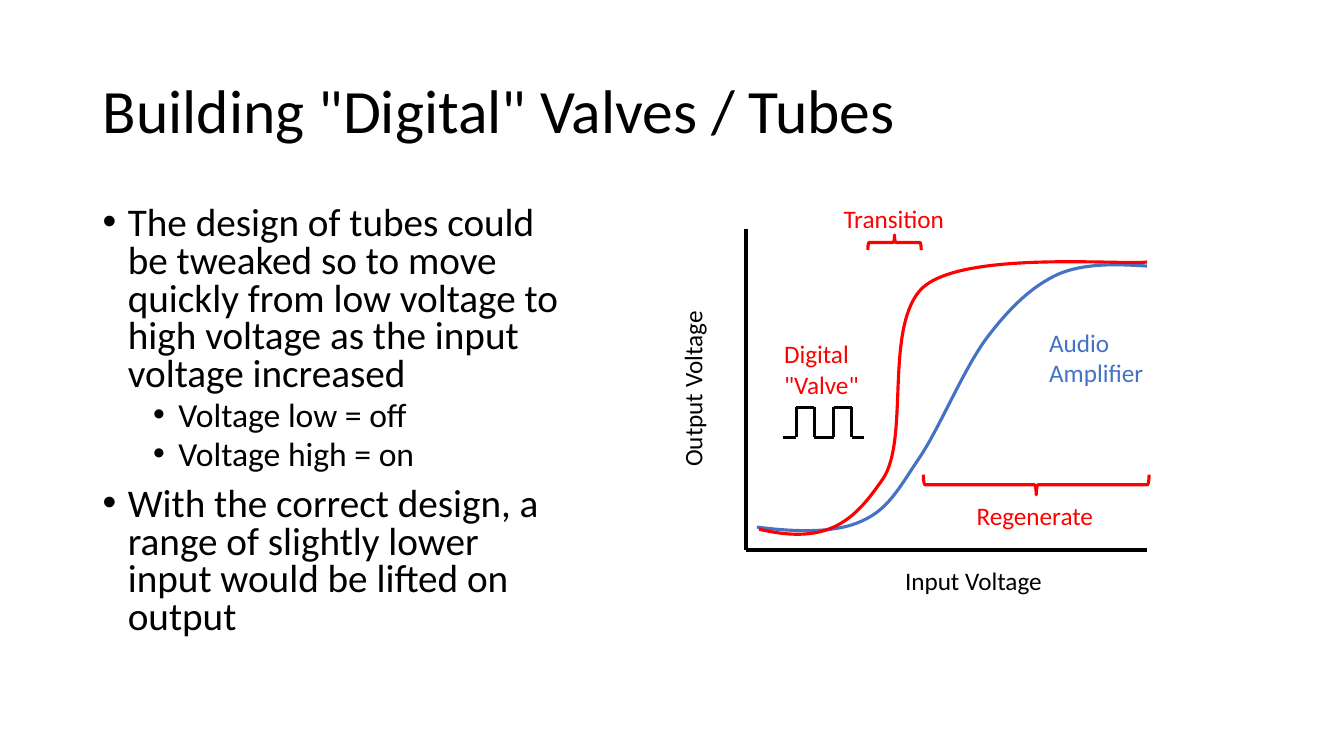
from lxml import etree
from pptx import Presentation, util as u
from pptx.dml.color import RGBColor
from pptx.enum import shapes, text
from pptx.oxml.ns import qn

# Content: lengths in px, 100 px to the inch
PX = 9144
SLIDE_HEIGHT = 750  # 16:9
FONT = "Calibri"
COLORS = {"black": "000000", "red": "FF0000", "blue": "4472C4"}

TITLE = 'Building "Digital" Valves / Tubes'
TITLE_BOX = (92, 40, 1150, 145)
BODY_BOX = (92, 200, 472, 451)
BULLETS = [  # level, text
    (0, "The design of tubes could be tweaked so to move quickly from low "
        "voltage to high voltage as the input voltage increased"),
    (1, "Voltage low = off"),
    (1, "Voltage high = on"),
    (0, "With the correct design, a range of slightly lower input would be "
        "lifted on output"),
]
LEVELS = [  # size, space before, left margin
    (28, 10, 25),
    (24, 5, 75),
]
HANGING = 25

LABELS = [  # lines, color, box, rotation
    (["Transition"], "red", (827, 197, 121, 40), 0),
    (["Audio", "Amplifier"], "blue", (1031, 320, 115, 71), 0),
    (["Digital", '"Valve"'], "red", (768, 331, 95, 71), 0),
    (["Input Voltage"], "black", (888, 556, 158, 40), 0),
    (["Output Voltage"], "black", (599, 365, 176, 40), 270),
    (["Regenerate"], "red", (959, 491, 137, 40), 0),
]
BRACES = [  # box before rotation, rotation
    ((880, 214, 15, 53), 270),
    ((1018, 369, 20, 224), 90),
]
AXES = [(740, 227), (740, 546), (1138, 546)]
PULSE_X = [777, 790, 808, 827, 845, 857]
PULSE_LOW, PULSE_HIGH = 434, 404
CURVES = [  # color, box, start, then two controls and an end per segment
    ("blue", (751, 263, 387, 263),
     [(751, 523),
      (790, 528), (829, 529), (855, 517),
      (882, 505), (892, 484), (913, 453),
      (933, 423), (957, 364), (980, 334),
      (1003, 304), (1024, 284), (1050, 272),
      (1076, 261), (1107, 262), (1138, 264)]),
    ("red", (753, 260, 385, 270),
     [(753, 525),
      (824, 542), (849, 514), (876, 475),
      (902, 436), (878, 330), (912, 289),
      (946, 248), (1108, 263), (1138, 260)]),
]


def emu(values):
    return [v * PX for v in values]


def place(sp, box):
    sp.left, sp.top, sp.width, sp.height = emu(box)


def color(name):
    return RGBColor.from_string(COLORS[name])


def write(p, words, size=18, fill="black", spacing=None, before=None):
    if spacing:
        p.line_spacing = spacing
    if before is not None:
        p.space_before = u.Pt(before)
    r = p.add_run()
    r.text = words
    r.font.name, r.font.size = FONT, u.Pt(size)
    r.font.color.rgb = color(fill)


def add_bullet(p, margin):
    props = p._p.get_or_add_pPr()
    props.set("marL", str(margin * PX))
    props.set("indent", str(-HANGING * PX))
    etree.SubElement(props, qn("a:buFont")).set("typeface", "Arial")
    etree.SubElement(props, qn("a:buChar")).set("char", "•")


def paragraph(tf, i):
    return tf.add_paragraph() if i else tf.paragraphs[0]


def outline(sp, name, width=2.25):
    sp.line.color.rgb = color(name)
    sp.line.width = u.Pt(width)


def outline_only(sp, name):
    sp.fill.background()
    sp.shadow.inherit = False
    outline(sp, name)


def draw_lines(parent, points, width):
    for start, end in zip(points, points[1:]):
        line = parent.add_connector(shapes.MSO_CONNECTOR.STRAIGHT,
                                    *emu(start + end))
        outline(line, "black", width)
        etree.SubElement(line._element.spPr, qn("a:effectLst"))


def draw_curve(parent, name, box, points):
    builder = parent.build_freeform(*emu(points[0]), scale=1.0)
    builder.add_line_segments([emu(q) for q in points[1:]], close=False)
    curve = builder.convert_to_shape()
    place(curve, box)

    # Measure the points from the box, then join each three into one Bézier
    track = next(curve._element.iter(qn("a:path")))
    track.set("w", str(box[2] * PX))
    track.set("h", str(box[3] * PX))
    for pt, (x, y) in zip(track.iter(qn("a:pt")), points):
        pt.set("x", str((x - box[0]) * PX))
        pt.set("y", str((y - box[1]) * PX))
    steps = track.findall(qn("a:lnTo"))
    for k in range(0, len(steps), 3):
        segment = etree.SubElement(track, qn("a:cubicBezTo"))
        for step in steps[k:k + 3]:
            segment.append(step[0])
            track.remove(step)
    outline_only(curve, name)


def main():
    prs = Presentation()
    prs.slide_height = SLIDE_HEIGHT * PX
    prs.slide_width = prs.slide_height * 16 // 9
    s = prs.slides.add_slide(prs.slide_layouts[5])

    # Title
    title = s.shapes.title
    place(title, TITLE_BOX)
    tf = title.text_frame
    tf.vertical_anchor = text.MSO_ANCHOR.MIDDLE
    tf.auto_size = text.MSO_AUTO_SIZE.NONE
    tf.paragraphs[0].alignment = text.PP_ALIGN.LEFT
    write(tf.paragraphs[0], TITLE, size=44, spacing=0.9)

    # Bullets
    tf = s.shapes.add_textbox(*emu(BODY_BOX)).text_frame
    tf.word_wrap = True
    for i, (level, words) in enumerate(BULLETS):
        size, before, margin = LEVELS[level]
        p = paragraph(tf, i)
        p.level = level
        write(p, words, size=size, spacing=0.8, before=before if i else 0)
        add_bullet(p, margin)

    # Axes and curves
    draw_lines(s.shapes, AXES, 3)
    for name, box, points in CURVES:
        draw_curve(s.shapes, name, box, points)

    # Braces
    for box, angle in BRACES:
        brace = s.shapes.add_shape(shapes.MSO_SHAPE.RIGHT_BRACE, *emu(box))
        brace.rotation = angle
        outline_only(brace, "red")

    # Labels
    for lines, name, box, angle in LABELS:
        sp = s.shapes.add_textbox(*emu(box))
        sp.rotation = angle
        tf = sp.text_frame
        tf.word_wrap = False
        tf.auto_size = text.MSO_AUTO_SIZE.SHAPE_TO_FIT_TEXT
        for i, words in enumerate(lines):
            write(paragraph(tf, i), words, fill=name)

    # Square wave: the level flips at each inner x
    wave, y = [(PULSE_X[0], PULSE_LOW)], PULSE_LOW
    for x in PULSE_X[1:-1]:
        wave.append((x, y))
        y = PULSE_LOW + PULSE_HIGH - y
        wave.append((x, y))
    wave.append((PULSE_X[-1], y))
    draw_lines(s.shapes.add_group_shape().shapes, wave, 2.25)

    prs.save("out.pptx")


if __name__ == "__main__":
    main()
